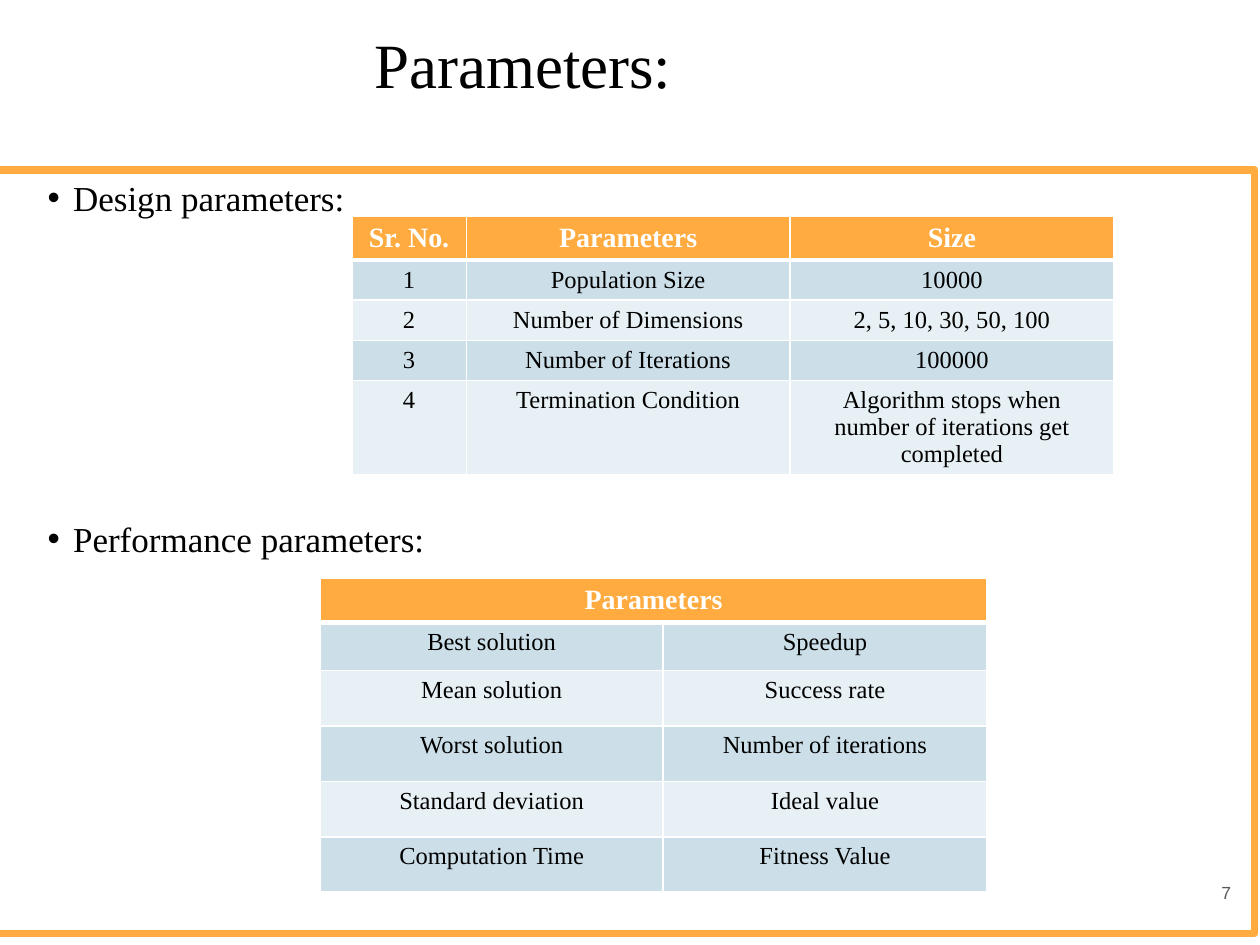
from lxml import etree
from pptx import Presentation
from pptx.dml.color import RGBColor
from pptx.enum import shapes, text
from pptx.oxml import ns
from pptx.util import Pt

SERIF = "Times New Roman"
ORANGE, WHITE, BLACK = "FFAB40", "FFFFFF", "000000"
BANDS = ("CCDFE8", "E7F0F4")
ALIGN = text.PP_ALIGN
ANCHOR = text.MSO_ANCHOR


def color(code):
    """Turn a hex string into a colour."""
    return RGBColor.from_string(code)


def paint(part, code):
    """Fill a shape or cell with a solid colour."""
    part.fill.solid()
    part.fill.fore_color.rgb = color(code)


def write(para, words, size, code=BLACK, font=SERIF, bold=False, align=ALIGN.LEFT):
    """Add one formatted run to a paragraph."""
    para.alignment = align
    run = para.add_run()
    run.text = words
    run.font.size = Pt(size)
    run.font.name = font
    run.font.bold = bold
    run.font.color.rgb = color(code)


def bullet(para):
    """Give a paragraph a hanging round bullet."""
    props = para._p.get_or_add_pPr()
    props.set("marL", str(Pt(41.2)))
    props.set("indent", str(Pt(-14.5)))
    font = etree.SubElement(props, ns.qn("a:buFont"))
    font.set("typeface", "Arial")
    mark = etree.SubElement(props, ns.qn("a:buChar"))
    mark.set("char", "•")


def border(cell, top, low):
    """Draw white cell borders with the given top and bottom widths."""
    props = cell._tc.get_or_add_tcPr()
    sides = (("lnL", 1), ("lnR", 1), ("lnT", top), ("lnB", low))
    for spot, (side, width) in enumerate(sides):
        line = etree.Element(ns.qn(f"a:{side}"), w=str(Pt(width)))
        fill = etree.SubElement(line, ns.qn("a:solidFill"))
        etree.SubElement(fill, ns.qn("a:srgbClr"), val=WHITE)
        props.insert(spot, line)


def heading(slide, left, top, width, height):
    """Place the slide title."""
    title = slide.shapes.title
    title.left, title.top = Pt(left), Pt(top)
    title.width, title.height = Pt(width), Pt(height)
    frame = title.text_frame
    frame.vertical_anchor = ANCHOR.BOTTOM
    frame.margin_left = Pt(160)
    frame.margin_bottom = Pt(2)
    write(frame.paragraphs[0], "Parameters:", 36)


def panel(slide, left, top, width, height):
    """Place the outlined panel with its two bullets."""
    box = slide.shapes.add_shape(
        shapes.MSO_SHAPE.RECTANGLE, Pt(left), Pt(top), Pt(width), Pt(height))
    box.shadow.inherit = False
    paint(box, WHITE)
    box.line.color.rgb = color(ORANGE)
    box.line.width = Pt(4.34)
    frame = box.text_frame
    frame.word_wrap = True
    frame.vertical_anchor = ANCHOR.TOP
    frame.margin_left = frame.margin_right = Pt(3.6)
    frame.margin_top = frame.margin_bottom = Pt(3.6)
    first, second = frame.paragraphs[0], frame.add_paragraph()
    second.space_before = Pt(171)
    for para, words in ((first, "Design parameters:"),
                        (second, "Performance parameters:")):
        write(para, words, 20)
        bullet(para)


def grid(slide, left, top, cols, rows, data):
    """Place a table with an orange header and banded rows."""
    frame = slide.shapes.add_table(
        len(rows), len(cols), Pt(left), Pt(top), Pt(sum(cols)), Pt(sum(rows)))
    table = frame.table
    for col, width in zip(table.columns, cols):
        col.width = Pt(width)
    for row, height in zip(table.rows, rows):
        row.height = Pt(height)
    for r, line in enumerate(data):
        head = r == 0
        for c in range(len(cols)):
            cell = table.cell(r, c)
            paint(cell, ORANGE if head else BANDS[(r - 1) % 2])
            border(cell, 3 if r == 1 else 1, 3 if head else 1)
            if c < len(line):
                write(cell.text_frame.paragraphs[0], line[c], 16 if head else 14,
                      WHITE if head else BLACK, bold=head, align=ALIGN.CENTER)
        if len(line) < len(cols):
            table.cell(r, 0).merge(table.cell(r, len(cols) - 1))


def number(slide, left, top, width, height):
    """Place the slide number."""
    box = slide.shapes.add_textbox(Pt(left), Pt(top), Pt(width), Pt(height))
    frame = box.text_frame
    frame.word_wrap = True
    frame.vertical_anchor = ANCHOR.MIDDLE
    write(frame.paragraphs[0], "7", 10, "595959", "Arial", align=ALIGN.RIGHT)


def main():
    """Build and save the slide."""
    deck = Presentation()
    deck.slide_width, deck.slide_height = Pt(720), Pt(540)
    slide = deck.slides.add_slide(deck.slide_layouts[5])
    heading(slide, 54, 6, 612, 54)
    panel(slide, -3, 97.2, 720, 436.3)
    grid(slide, 201, 123.3, [65.5, 185, 185], [25.2, 23, 23, 23, 54], [
        ("Sr. No.", "Parameters", "Size"),
        ("1", "Population Size", "10000"),
        ("2", "Number of Dimensions", "2, 5, 10, 30, 50, 100"),
        ("3", "Number of Iterations", "100000"),
        ("4", "Termination Condition",
         "Algorithm stops when number of iterations get completed")])
    grid(slide, 183, 330.5, [196, 185], [25.2, 27.4] + [31.7] * 4, [
        ("Parameters",),
        ("Best solution", "Speedup"),
        ("Mean solution", "Success rate"),
        ("Worst solution", "Number of iterations"),
        ("Standard deviation", "Ideal value"),
        ("Computation Time", "Fitness Value")])
    number(slide, 667.4, 489.6, 43.2, 41)
    deck.save("out.pptx")


if __name__ == "__main__":
    main()
